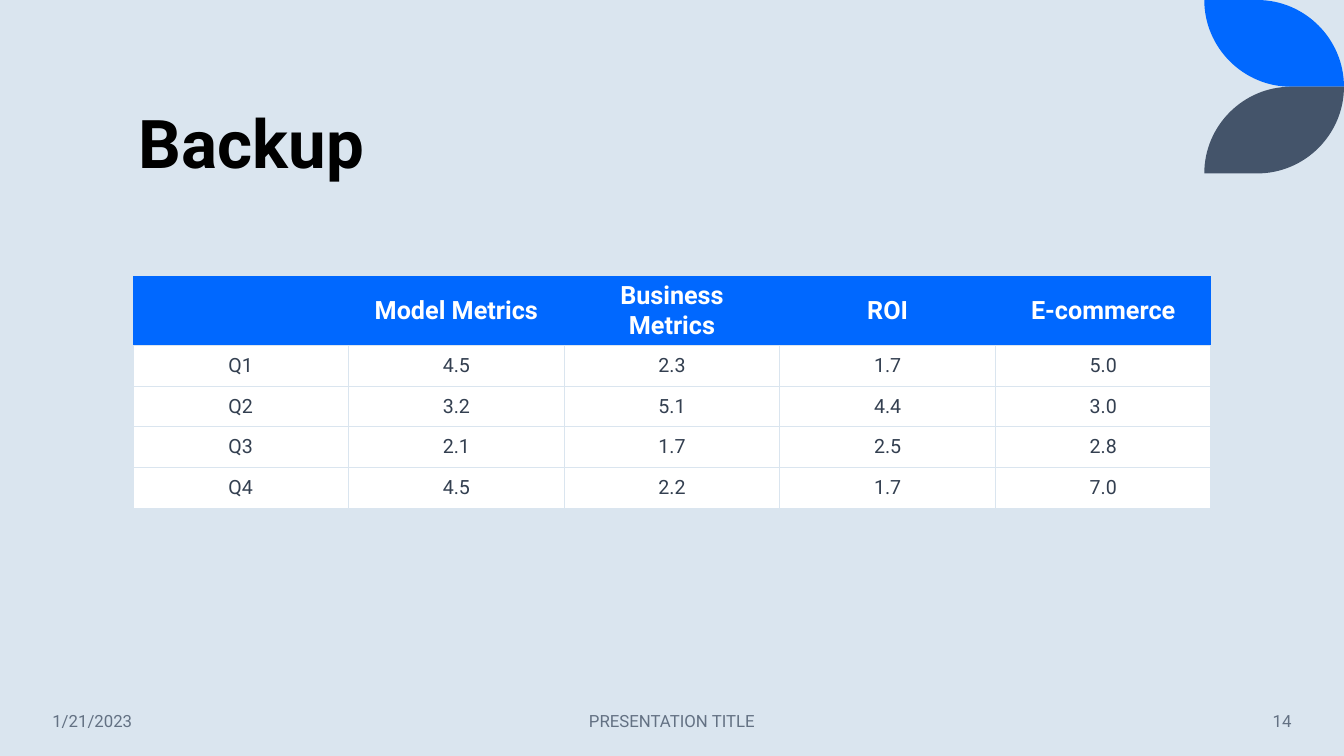
from lxml import etree
from pptx import Presentation
from pptx.dml.color import RGBColor
from pptx.enum.text import MSO_ANCHOR, PP_ALIGN
from pptx.oxml.ns import qn
from pptx.util import Cm, Pt

LEFT, CENTER, RIGHT = PP_ALIGN.LEFT, PP_ALIGN.CENTER, PP_ALIGN.RIGHT
MIDDLE, BOTTOM = MSO_ANCHOR.MIDDLE, MSO_ANCHOR.BOTTOM
FONT = "Roboto"
BACKGROUND, BLUE, SLATE = "DAE5EF", "0068FF", "44546A"
WHITE, BLACK, CELL_TEXT, FOOTER_TEXT = "FFFFFF", "000000", "333F50", "637183"
ARC_HANDLE = 0.55

METRICS = [
    ["", "Model Metrics", "Business Metrics", "ROI", "E-commerce"],
    ["Q1", "4.5", "2.3", "1.7", "5.0"],
    ["Q2", "3.2", "5.1", "4.4", "3.0"],
    ["Q3", "2.1", "1.7", "2.5", "2.8"],
    ["Q4", "4.5", "2.2", "1.7", "7.0"],
]


def paint(fill, color):
    fill.solid()
    fill.fore_color.rgb = RGBColor.from_string(color)


def write(frame, text, size, color, bold=False, align=LEFT, spacing=None):
    para = frame.paragraphs[0]
    para.alignment = align
    para.line_spacing = spacing
    span = para.add_run()
    span.text = text
    span.font.name = FONT
    span.font.size = Pt(size)
    span.font.bold = bold
    span.font.color.rgb = RGBColor.from_string(color)


def add_text(page, box, text, anchor=MIDDLE, **style):
    frame = page.shapes.add_textbox(*map(Cm, box)).text_frame
    frame.word_wrap = True
    frame.vertical_anchor = anchor
    write(frame, text, **style)


def bend(segment, handles):
    """Turn a straight outline segment into a cubic curve."""
    segment.tag = qn("a:cubicBezTo")
    for index, (x, y) in enumerate(handles):
        point = etree.Element(qn("a:pt"), x=str(Cm(x)), y=str(Cm(y)))
        segment.insert(index, point)


def add_leaf(page, box, color, flipped=False):
    """Draw a leaf with two opposite corners rounded to its full height."""
    left, top, width, height = box
    reach = height * ARC_HANDLE

    def place(points):
        return [(x, height - y if flipped else y) for x, y in points]

    corners = place([(0, 0), (width - height, 0), (width, height),
                     (height, height), (0, 0)])
    upper_arc = place([(width - height + reach, 0), (width, height - reach)])
    lower_arc = place([(height - reach, height), (0, reach)])
    points = [(Cm(left + x), Cm(top + y)) for x, y in corners]
    builder = page.shapes.build_freeform(*points[0])
    builder.add_line_segments(points[1:], close=True)
    leaf = builder.convert_to_shape()
    segments = list(leaf._element.iter(qn("a:lnTo")))
    bend(segments[1], upper_arc)
    bend(segments[3], lower_arc)
    leaf.shadow.inherit = False
    leaf.line.fill.background()
    paint(leaf.fill, color)


def add_leaves(page, box):
    left, top, width, height = box
    half = height / 2
    add_leaf(page, (left, top, width, half), BLUE)
    add_leaf(page, (left, top + half, width, half), SLATE, flipped=True)


def set_borders(cell, visible):
    """Draw the named sides (L, R, T, B) and clear the others."""
    properties = cell._tc.get_or_add_tcPr()
    for index, side in enumerate("LRTB"):
        line = etree.Element(qn(f"a:ln{side}"), w=str(Pt(1)))
        if side in visible:
            fill = etree.SubElement(line, qn("a:solidFill"))
            etree.SubElement(fill, qn("a:srgbClr"), val=BACKGROUND)
        else:
            etree.SubElement(line, qn("a:noFill"))
        properties.insert(index, line)


def add_metrics_table(page, box):
    rows, columns = len(METRICS), len(METRICS[0])
    table = page.shapes.add_table(rows, columns, *map(Cm, box)).table
    table.horz_banding = False
    for r, values in enumerate(METRICS):
        header = r == 0
        for c, value in enumerate(values):
            cell = table.cell(r, c)
            cell.vertical_anchor = MIDDLE
            cell.margin_top = cell.margin_bottom = Cm(0.11)
            paint(cell.fill, BLUE if header else WHITE)
            set_borders(cell, "B" if header else "LRTB")
            if value:
                write(cell.text_frame, value, size=18 if header else 14,
                      color=WHITE if header else CELL_TEXT, bold=header, align=CENTER)


def add_footer(page, box):
    left, top, width, height = box
    middle, side = 11.43, 4.7
    parts = [
        (left, side, "1/21/2023", LEFT),
        (left + (width - middle) / 2, middle, "PRESENTATION TITLE", CENTER),
        (left + width - side, side, "14", RIGHT),
    ]
    for x, part_width, text, align in parts:
        add_text(page, (x, top, part_width, height), text,
                 size=12, color=FOOTER_TEXT, align=align)


def main():
    deck = Presentation()
    deck.slide_width, deck.slide_height = Cm(33.87), Cm(19.05)
    page = deck.slides.add_slide(deck.slide_layouts[6])
    paint(page.background.fill, BACKGROUND)
    add_leaves(page, (30.35, 0, 3.52, 4.37))
    add_text(page, (3.25, 1.07, 27.15, 3.68), "Backup", anchor=BOTTOM,
             size=48, color=BLACK, bold=True, spacing=0.9)
    add_metrics_table(page, (3.35, 6.96, 27.17, 5.13))
    add_footer(page, (1.07, 17.65, 31.73, 1.02))
    deck.save("out.pptx")


if __name__ == "__main__":
    main()
